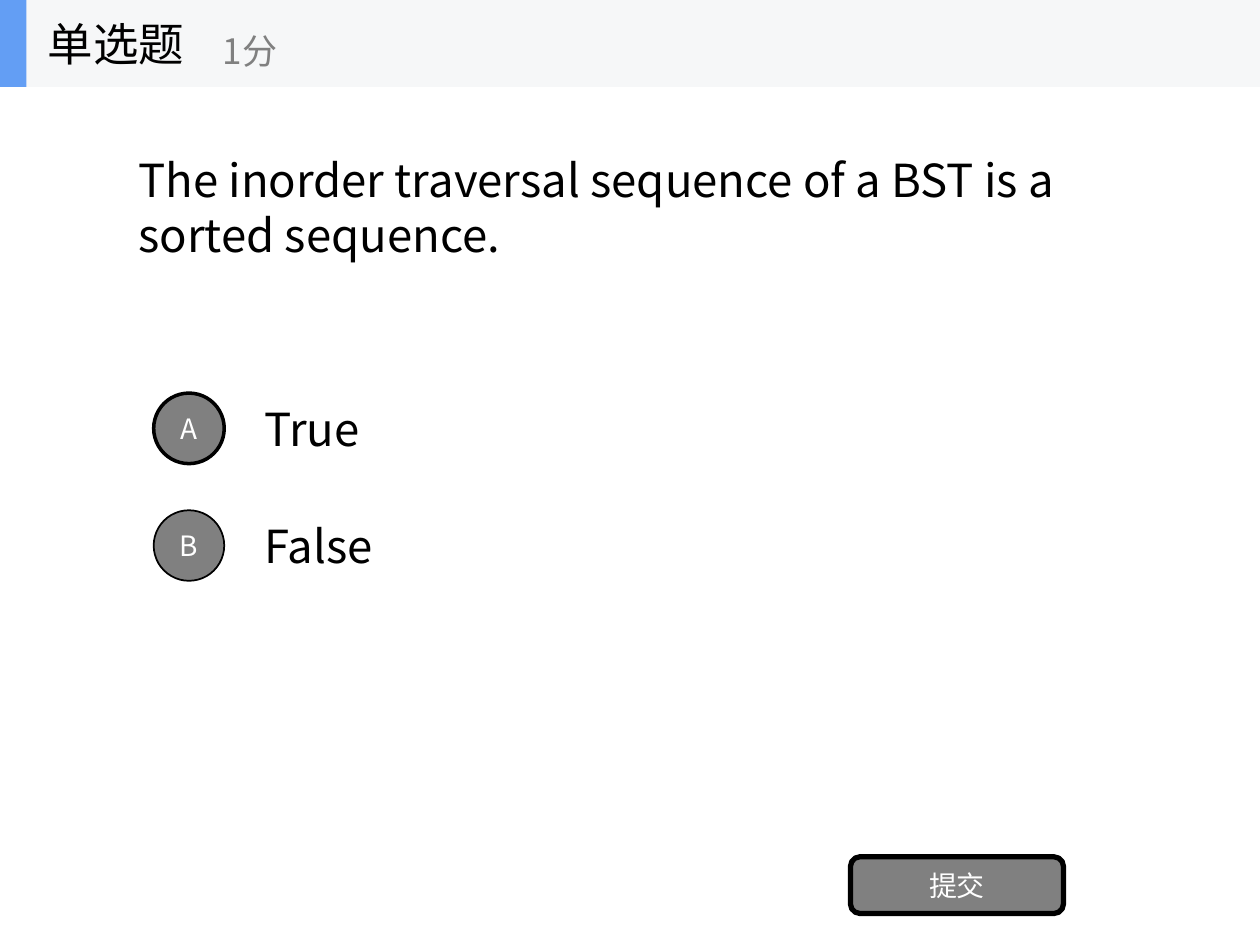
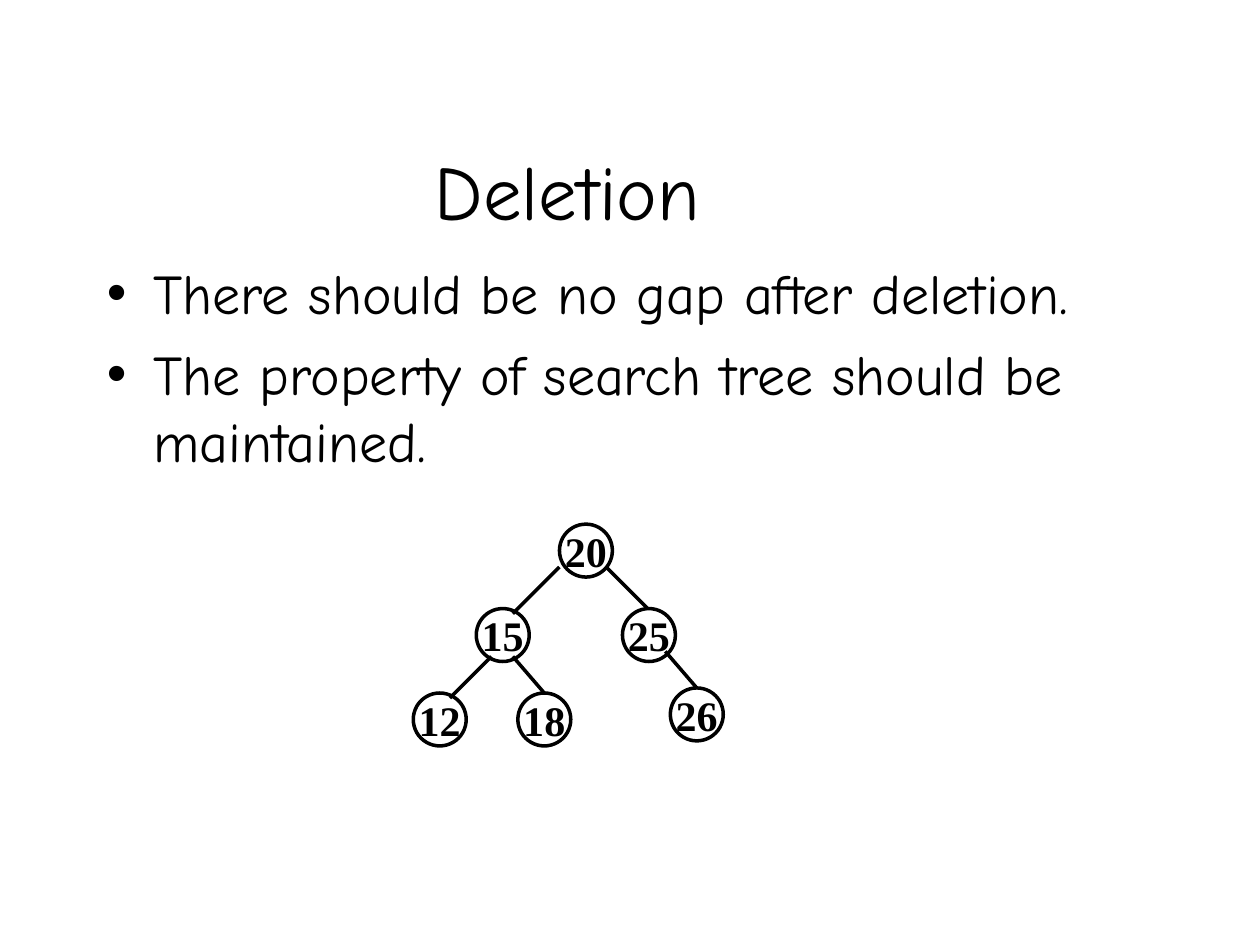
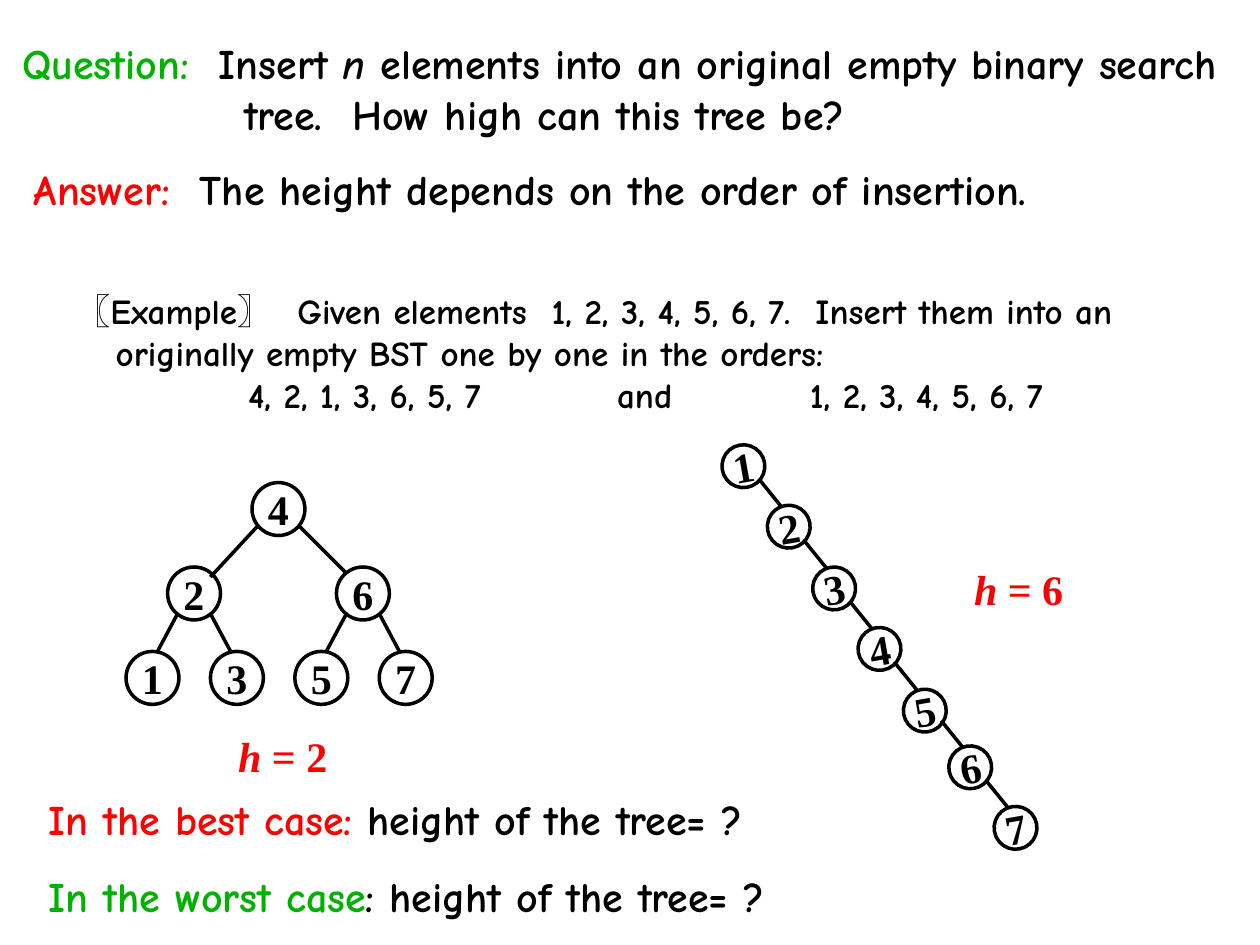
from lxml.etree import SubElement
from pptx import Presentation
from pptx.dml.color import RGBColor
from pptx.enum.shapes import MSO_CONNECTOR, MSO_SHAPE
from pptx.enum.text import MSO_ANCHOR, PP_ALIGN
from pptx.oxml.ns import qn
from pptx.util import Inches, Pt

BLACK, WHITE, GREY = "000000", "FFFFFF", "808080"
RED, GREEN = "FF0000", "00B200"
BAND, ACCENT = "F6F7F8", "639EF4"
SANS, HAND, SERIF = "Noto Sans CJK SC", "Comic Neue", "Times New Roman"
NODE, CHAIN_NODE = 0.42, 0.34


def rgb(hex_colour):
    return RGBColor.from_string(hex_colour)


def style_run(run, size, face, colour, bold=False, italic=False):
    font = run.font
    font.size, font.name = Pt(size), face
    font.bold, font.italic = bold, italic
    font.color.rgb = rgb(colour)
    SubElement(run._r.get_or_add_rPr(), qn("a:ea")).set("typeface", face)


def add_runs(paragraph, parts, size, face, bold=False):
    for words, colour, *italic in parts:
        run = paragraph.add_run()
        run.text = words
        style_run(run, size, face, colour, bold, bool(italic))


def add_text(slide, box, paragraphs, size, face, bold=False,
             anchor=MSO_ANCHOR.TOP, align=PP_ALIGN.LEFT, hanging=0, before=0):
    frame = slide.shapes.add_textbox(*map(Inches, box)).text_frame
    frame.word_wrap = True
    frame.vertical_anchor = anchor
    for index, parts in enumerate(paragraphs):
        paragraph = frame.paragraphs[0] if index == 0 else frame.add_paragraph()
        paragraph.alignment = align
        if index and before:
            paragraph.space_before = Pt(before)
        if hanging:
            set_indent(paragraph, hanging)
        add_runs(paragraph, parts, size, face, bold)
    return frame


def set_indent(paragraph, hanging):
    properties = paragraph._p.get_or_add_pPr()
    properties.set("marL", str(Inches(hanging)))
    properties.set("indent", str(-Inches(hanging)))


def add_bullet(paragraph):
    properties = paragraph._p.get_or_add_pPr()
    SubElement(properties, qn("a:buFont")).set("typeface", "Arial")
    SubElement(properties, qn("a:buChar")).set("char", "•")


def add_tabs(paragraph, stops):
    tab_list = SubElement(paragraph._p.get_or_add_pPr(), qn("a:tabLst"))
    for stop in stops:
        tab = SubElement(tab_list, qn("a:tab"))
        tab.set("pos", str(Inches(stop)))
        tab.set("algn", "l")


def add_block(slide, kind, box, fill=None, line=0):
    block = slide.shapes.add_shape(kind, *map(Inches, box))
    block.shadow.inherit = False
    if fill:
        block.fill.solid()
        block.fill.fore_color.rgb = rgb(fill)
    else:
        block.fill.background()
    if line:
        block.line.color.rgb = rgb(BLACK)
        block.line.width = Pt(line)
    else:
        block.line.fill.background()
    return block


def add_label(block, words, size, face, colour, bold=False):
    frame = block.text_frame
    frame.word_wrap = False
    frame.vertical_anchor = MSO_ANCHOR.MIDDLE
    frame.text = words
    frame.paragraphs[0].alignment = PP_ALIGN.CENTER
    style_run(frame.paragraphs[0].runs[0], size, face, colour, bold)


def add_node(slide, left, top, key, diameter=NODE, rotation=0):
    node = add_block(slide, MSO_SHAPE.OVAL, (left, top, diameter, diameter), line=2)
    node.rotation = rotation
    add_label(node, str(key), 24, SERIF, BLACK, bold=True)


def add_edge(slide, x1, y1, x2, y2):
    edge = slide.shapes.add_connector(
        MSO_CONNECTOR.STRAIGHT, *map(Inches, (x1, y1, x2, y2)))
    edge.line.color.rgb = rgb(BLACK)
    edge.line.width = Pt(2)
    SubElement(edge._element.spPr, qn("a:effectLst"))


def add_tree(slide, left, top, nodes, edges):
    for key, (x, y) in nodes.items():
        add_node(slide, left + x, top + y, key)
    for x1, y1, x2, y2 in edges:
        add_edge(slide, left + x1, top + y1, left + x2, top + y2)


def add_chain(slide, left, top, levels):
    for index, level in enumerate(levels):
        x = left + 0.36 * index
        add_node(slide, x, top + level, index + 1, CHAIN_NODE, rotation=350)
        if index + 1 < len(levels):
            next_top = top + levels[index + 1]
            add_edge(slide, x + 0.3, next_top - 0.2, x + 0.47, next_top + 0.01)


def add_height(slide, box, value):
    add_text(slide, box, [[("h", RED, True), (f" = {value}", RED)]],
             24, SERIF, bold=True, align=PP_ALIGN.CENTER)


def add_quiz_header(slide, kind, points, height=0.69):
    add_block(slide, MSO_SHAPE.RECTANGLE, (0, 0, 10, height), BAND)
    add_block(slide, MSO_SHAPE.RECTANGLE, (0, 0, 0.21, height), ACCENT)
    add_text(slide, (0.28, 0, 2.08, height), [[(kind, BLACK)]], 26, SANS,
             anchor=MSO_ANCHOR.MIDDLE)
    add_text(slide, (1.67, 0.12, 2.5, 0.56), [[(points, GREY)]], 20, SANS,
             anchor=MSO_ANCHOR.MIDDLE)


def add_option(slide, left, top, letter, answer, outline):
    badge = add_block(slide, MSO_SHAPE.OVAL, (left, top + 0.07, 0.56, 0.56), GREY, outline)
    add_label(badge, letter, 16, SANS, WHITE)
    add_text(slide, (left + 0.78, top, 7, 0.7), [[(answer, BLACK)]], 26, SANS,
             anchor=MSO_ANCHOR.MIDDLE)


def build_quiz(slide):
    question = "The inorder traversal sequence of a BST is a sorted sequence."
    add_text(slide, (1, 0.47, 8, 2.34), [[(question, BLACK)]], 26, SANS,
             anchor=MSO_ANCHOR.MIDDLE)
    options = [("A", "True", 2), ("B", "False", 1)]
    for index, option in enumerate(options):
        add_option(slide, 1.22, 3.05 + 0.93 * index, *option)
    submit = add_block(slide, MSO_SHAPE.ROUNDED_RECTANGLE, (6.75, 6.8, 1.69, 0.45), GREY, 3)
    add_label(submit, "提交", 16, SANS, WHITE)
    add_quiz_header(slide, "单选题", "1分")


def build_deletion(slide):
    add_text(slide, (0.75, 0.17, 7.51, 1.75), [[("Deletion", BLACK)]], 44, HAND,
             anchor=MSO_ANCHOR.BOTTOM, align=PP_ALIGN.CENTER)
    rules = ["There should be no gap after deletion.",
             "The property of search tree should be maintained."]
    frame = add_text(slide, (0.75, 2, 8.9, 4), [[(rule, BLACK)] for rule in rules],
                     32, HAND, hanging=0.37, before=8)
    for paragraph in frame.paragraphs:
        add_bullet(paragraph)
    nodes = {20: (1.16, 0), 15: (0.5, 0.67), 25: (1.66, 0.67),
             12: (0, 1.34), 18: (0.83, 1.34), 26: (2.04, 1.3)}
    edges = [(1.16, 0.34, 0.79, 0.71), (1.53, 0.34, 1.86, 0.67),
             (0.62, 1.05, 0.29, 1.38), (0.79, 1.05, 1.04, 1.34),
             (2, 1.01, 2.25, 1.3)]
    add_tree(slide, 3.28, 4.16, nodes, edges)


def build_height_question(slide):
    add_text(slide, (0.08, 0.25, 9.83, 0.9), [[
        ("Question:", GREEN), ("  Insert ", BLACK), ("n", BLACK, True),
        (" elements into an original empty binary search tree.  "
         "How high can this tree be?", BLACK)]], 24, HAND, bold=True, hanging=1.76)
    add_text(slide, (0.17, 1.25, 9.08, 0.5), [[
        ("Answer:", RED), ("  The height depends on the order of insertion.", BLACK)]],
        24, HAND, bold=True, hanging=1.76)
    example = add_text(slide, (0.5, 2.25, 9.25, 1.1), [[
        ("〖Example〗  Given elements  1, 2, 3, 4, 5, 6, 7.  Insert them into an "
         "originally empty BST one by one in the orders:", BLACK)]],
        20, HAND, bold=True, hanging=0.32)
    orders = example.add_paragraph()
    add_tabs(orders, (1.37, 4.3, 5.83))
    add_runs(orders, [("\t4, 2, 1, 3, 6, 5, 7\tand\t1, 2, 3, 4, 5, 6, 7", BLACK)],
             20, HAND, bold=True)

    nodes = {4: (1, 0), 2: (0.33, 0.67), 6: (1.67, 0.67)}
    nodes.update({key: (0.67 * index, 1.34) for index, key in enumerate((1, 3, 5, 7))})
    edges = [(1.05, 0.34, 0.67, 0.75), (1.37, 0.34, 1.75, 0.72)]
    for centre in (0.54, 1.88):
        for side in (-1, 1):
            edges.append((centre + 0.13 * side, 1.04, centre + 0.29 * side, 1.34))
    add_tree(slide, 1, 3.83, nodes, edges)
    add_height(slide, (1.33, 5.75, 1.83, 0.5), 2)

    add_chain(slide, 5.73, 3.53, (0, 0.48, 0.97, 1.45, 1.94, 2.39, 2.87))
    add_height(slide, (7.25, 4.42, 1.67, 0.5), 6)

    add_text(slide, (0.29, 6.25, 7.9, 1.11), [
        [("In the best case: ", RED), ("height of the tree= ?", BLACK)],
        [("In the worst case", GREEN), (": height of the tree= ?", BLACK)]],
        24, HAND, bold=True, before=15)


def main():
    deck = Presentation()
    deck.slide_width, deck.slide_height = Inches(10), Inches(7.5)
    for build in (build_quiz, build_deletion, build_height_question):
        build(deck.slides.add_slide(deck.slide_layouts[6]))
    deck.save("out.pptx")


if __name__ == "__main__":
    main()
